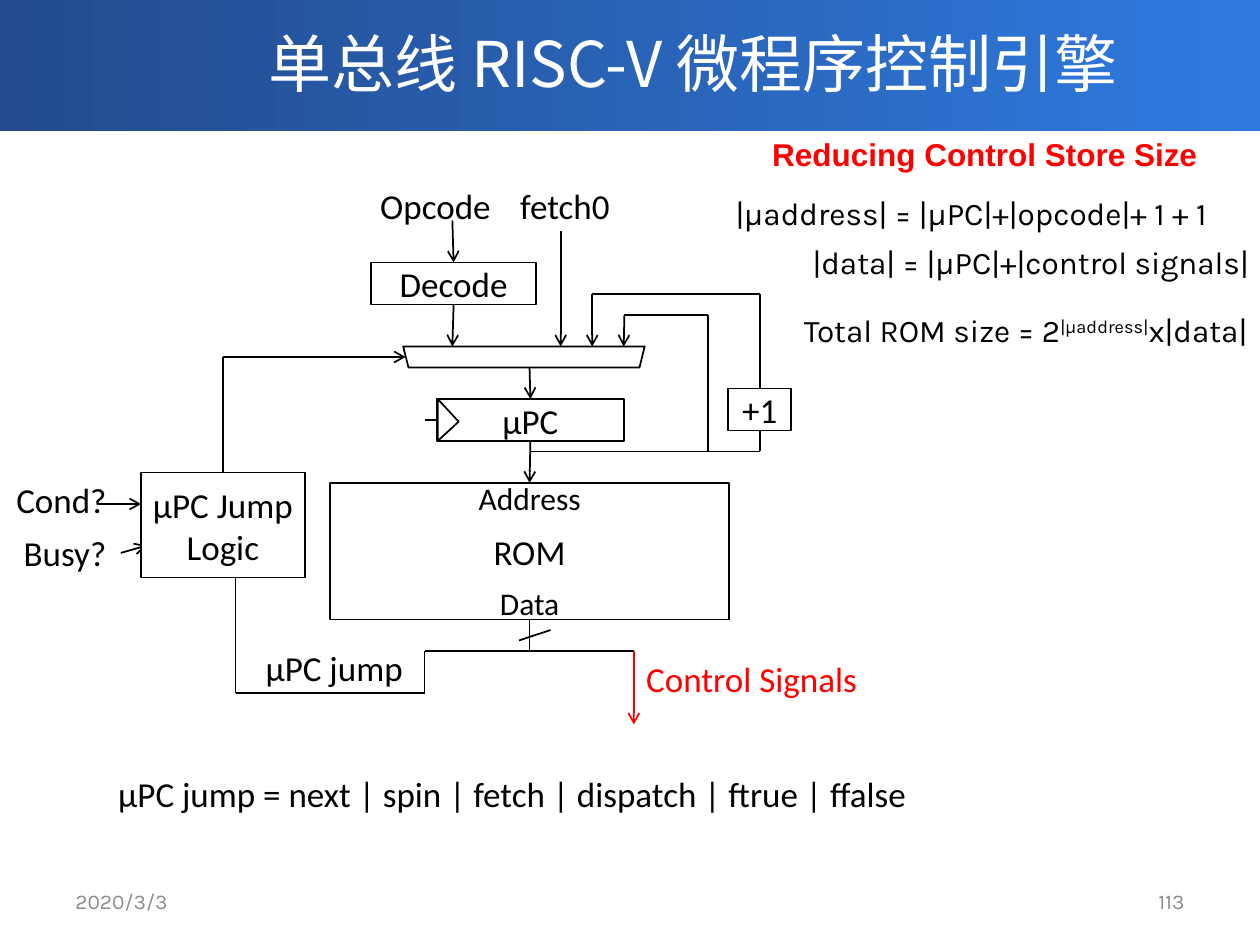
from itertools import pairwise

from pptx import Presentation
from pptx.dml.color import RGBColor
from pptx.enum.shapes import MSO_CONNECTOR as CONN, MSO_SHAPE as SHAPE
from pptx.enum.text import MSO_ANCHOR as ANCHOR, MSO_AUTO_SIZE as AUTO, PP_ALIGN as ALIGN
from pptx.oxml.ns import qn
from pptx.util import Pt
from lxml.etree import SubElement

BLACK, WHITE, RED, GRAY = "000000", "FFFFFF", "FF0000", "8C8C8C"
LABEL = dict(name="Calibri", size=Pt(20))
PORT = dict(name="Calibri", size=Pt(18))
FORMULA = dict(name="Karla", size=Pt(18))
HEADING = dict(name="Arial", size=Pt(18), bold=True)
FOOTER = dict(name="Karla", size=Pt(12))
TOP, LEFT, BOTTOM, RIGHT = range(4)


def rgb(hex_color):
    return RGBColor.from_string(hex_color)


def style(font, fmt, color):
    for key, value in fmt.items():
        setattr(font, key, value)
    font.color.rgb = rgb(color)


def add_run(p, text, fmt, color=BLACK, baseline=0):
    r = p.add_run()
    r.text = text
    style(r.font, fmt, color)
    if baseline:
        r.font._element.set("baseline", str(baseline * 1000))
    return r


def add_label(slide, runs, x, y, w, h, fmt=LABEL, color=BLACK, wrap=False):
    """Free text; runs is a string or a list of (text, baseline percent)."""
    sp = slide.shapes.add_textbox(Pt(x), Pt(y), Pt(w), Pt(h))
    tf = sp.text_frame
    tf.word_wrap = wrap
    tf.auto_size = AUTO.SHAPE_TO_FIT_TEXT
    for text, baseline in [(runs, 0)] if isinstance(runs, str) else runs:
        add_run(tf.paragraphs[0], text, fmt, color, baseline)


def add_footer(slide, text, x, align):
    sp = slide.shapes.add_textbox(Pt(x), Pt(500.4), Pt(168), Pt(28.8))
    tf = sp.text_frame
    tf.word_wrap = True
    tf.vertical_anchor = ANCHOR.MIDDLE
    tf.paragraphs[0].alignment = align
    add_run(tf.paragraphs[0], text, FOOTER, GRAY)


def add_block(slide, x, y, w, h, text="", kind=SHAPE.RECTANGLE, rotation=0):
    sp = slide.shapes.add_shape(kind, Pt(x), Pt(y), Pt(w), Pt(h))
    sp.shadow.inherit = False
    sp.rotation = rotation
    sp.fill.solid()
    sp.fill.fore_color.rgb = rgb(WHITE)
    sp.line.color.rgb = rgb(BLACK)
    sp.line.width = Pt(1)
    if text:
        tf = sp.text_frame
        tf.word_wrap = True
        tf.vertical_anchor = ANCHOR.MIDDLE
        for side in ("left", "right", "top", "bottom"):
            setattr(tf, f"margin_{side}", 0)
        tf.paragraphs[0].alignment = ALIGN.CENTER
        add_run(tf.paragraphs[0], text, LABEL)
    return sp


def add_wire(slide, *points, arrow=False, color=BLACK, start=None, end=None):
    """Straight segments through points; start and end are (block, side)."""
    segments = []
    for (x1, y1), (x2, y2) in pairwise(points):
        line = slide.shapes.add_connector(CONN.STRAIGHT, Pt(x1), Pt(y1), Pt(x2), Pt(y2))
        line.line.color.rgb = rgb(color)
        line.line.width = Pt(1)
        SubElement(line._element.spPr, qn("a:effectLst"))
        segments.append(line)
    if arrow:
        SubElement(segments[-1].line._get_or_add_ln(), qn("a:tailEnd"), type="arrow")
    if start:
        segments[0].begin_connect(*start)
    if end:
        segments[-1].end_connect(*end)


def add_header(slide):
    band = slide.shapes.add_shape(SHAPE.RECTANGLE, 0, Pt(-2), Pt(720), Pt(77))
    band.shadow.inherit = False
    band.line.fill.background()
    band.fill.gradient()
    band.fill.gradient_angle = 0
    for stop, color in zip(band.fill.gradient_stops, ("234B8D", "2F7ADF")):
        stop.color.rgb = rgb(color)
    slide.shapes._spTree.insert(2, band._element)  # behind the title

    title = slide.shapes.title
    title.left, title.top, title.width, title.height = Pt(72), 0, Pt(648), Pt(71.3)
    tf = title.text_frame
    tf.vertical_anchor = ANCHOR.MIDDLE
    p = tf.paragraphs[0]
    p.alignment = ALIGN.CENTER
    face = "Noto Sans CJK SC"
    r = add_run(p, "单总线 RISC-V 微程序控制引擎", dict(name=face, size=Pt(36)), WHITE)
    SubElement(r.font._element, qn("a:ea"), typeface=face)


def add_engine(slide):
    mid, inc_x, bus_y, split_y = 302.6, 434.2, 258, 372

    # Wires that stand free or pass under a block
    add_wire(slide, (69, 316), (83.5, 311.8), arrow=True)
    add_wire(slide, (56.2, 288), (80.6, 288), arrow=True)
    add_wire(slide, (249.8, 240), (242.6, 240))
    add_wire(slide, (320.4, 132), (320.4, 198), arrow=True)
    add_wire(slide, (404.6, bus_y), (404.6, 180), (356.8, 180), (356.4, 198), arrow=True)
    add_wire(slide, (inc_x, bus_y), (mid, bus_y))

    # Blocks
    decode = add_block(slide, 212.2, 150, 94, 24, "Decode")
    add_block(slide, 230.4, 198, 138, 12, kind=SHAPE.TRAPEZOID, rotation=180)
    upc = add_block(slide, 249.8, 228, 106.6, 24, "µPC")
    clock = add_block(slide, 244.1, 234, 24, 12, kind=SHAPE.ISOSCELES_TRIANGLE, rotation=90)
    clock.adjustments[0] = 0.54
    rom = add_block(slide, 188.6, 276, 228, 78, "ROM")
    inc = add_block(slide, 416.2, 222, 36, 24, "+1")
    jump = add_block(slide, 80.6, 270, 93.6, 60, "µPC Jump Logic")

    # Wires joined to blocks
    add_wire(slide, (258.5, 126), (258.5, 150), arrow=True, end=(decode, TOP))
    add_wire(slide, (259.2, 174), (258.5, 198), arrow=True, start=(decode, BOTTOM))
    add_wire(slide, (mid, 210), (303, 228), arrow=True, end=(upc, TOP))
    add_wire(slide, (303, 252), (mid, 276), arrow=True, start=(upc, BOTTOM), end=(rom, TOP))
    add_wire(slide, (inc_x, 246), (inc_x, bus_y), start=(inc, BOTTOM))
    add_wire(slide, (inc_x, 222), (inc_x, 168), (338.4, 168), (338.4, 198),
             arrow=True, start=(inc, TOP))
    add_wire(slide, (127.4, 270), (127.4, 204), (231.8, 204), arrow=True, start=(jump, TOP))
    add_wire(slide, (mid, 354), (mid, split_y), start=(rom, BOTTOM))

    # ROM output: jump field goes back, control signals go out
    add_wire(slide, (362.2, split_y), (242.6, split_y), (242.6, 396), (134.6, 396), (134.6, 330))
    add_wire(slide, (362.2, split_y), (362.2, 414), arrow=True, color=RED)
    add_wire(slide, (296.6, 366), (314.6, 360))

    # Labels
    for text, x, y, w in (
        ("Opcode", 210.2, 102, 78.5),
        ("fetch0", 290.2, 102, 67),
        ("Cond?", 2.2, 270, 66.2),
        ("Busy?", 6.5, 300, 62.6),
        ("µPC jump", 144.7, 366, 93.6),
        ("µPC jump = next | spin | fetch | dispatch | ftrue | ffalse", 60.5, 438, 470.2),
    ):
        add_label(slide, text, x, y, w, 31.7)
    add_label(slide, "Control Signals", 362.2, 372, 136.8, 31.7, color=RED)
    add_label(slide, "Address", 266.4, 270, 74.2, 28.8, PORT)
    add_label(slide, "Data", 278.6, 330, 49, 28.8, PORT)


def add_size_notes(slide):
    add_label(slide, "Reducing Control Store Size", 434.2, 73.4, 269.3, 28.8, HEADING, RED)
    add_label(slide, "|µaddress| = |µPC|+|opcode|+ 1 + 1", 413.3, 107.3, 324, 28.8,
              FORMULA, wrap=True)
    add_label(slide, "|data| = |µPC|+|control signals|", 457.2, 135.4, 279.4, 28.8, FORMULA)
    add_label(slide, [("Total ROM size = 2", 0), ("|µaddress|", 30), ("x|data|", 0)],
              452.2, 174.2, 277.2, 28.8, FORMULA)


def main():
    prs = Presentation()
    prs.slide_width, prs.slide_height = Pt(720), Pt(540)
    slide = prs.slides.add_slide(prs.slide_layouts[5])
    add_header(slide)
    add_engine(slide)
    add_size_notes(slide)
    add_footer(slide, "2020/3/3", 36, ALIGN.LEFT)
    add_footer(slide, "113", 516, ALIGN.RIGHT)
    prs.save("out.pptx")


if __name__ == "__main__":
    main()
